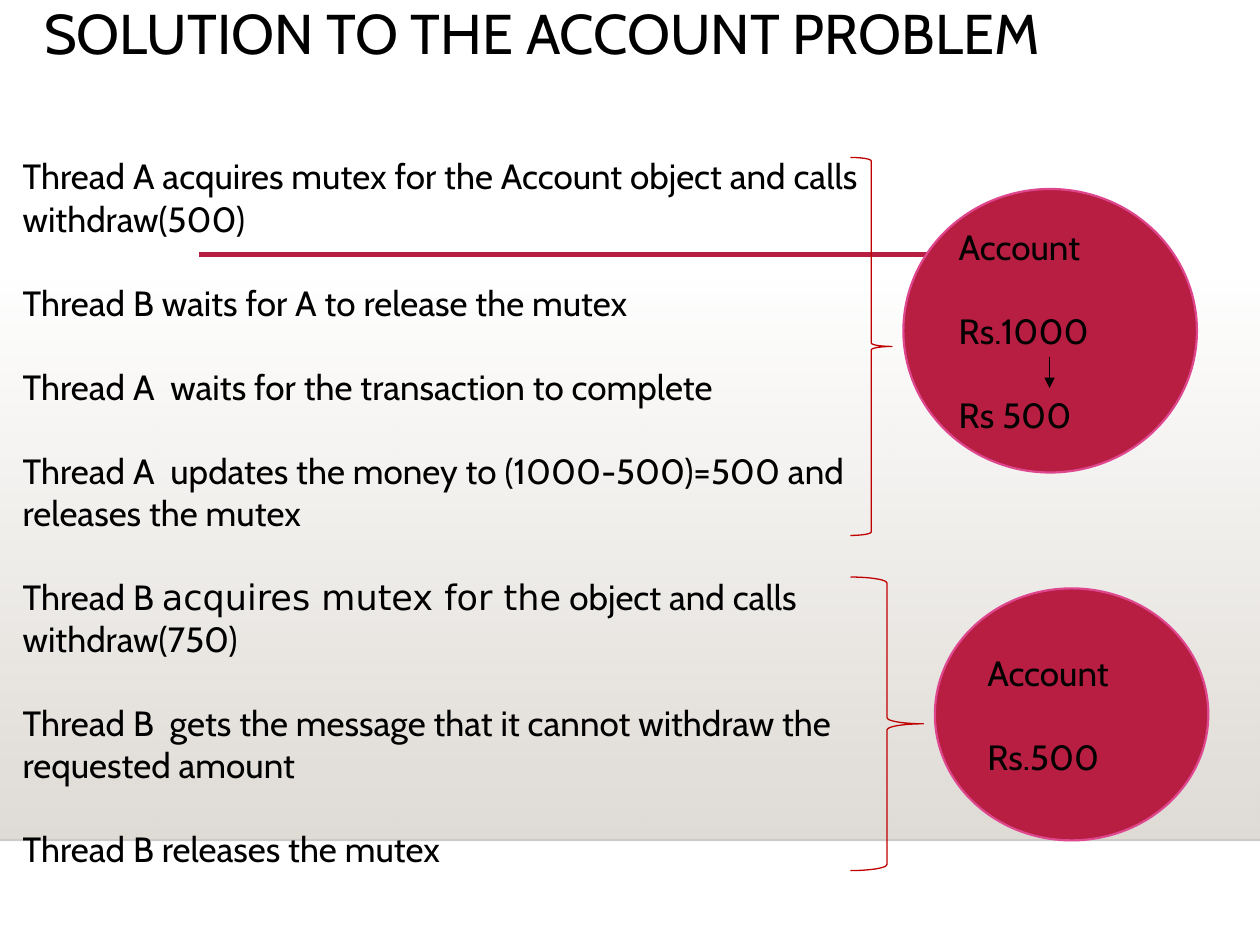
from lxml.etree import SubElement
from pptx import Presentation
from pptx.dml.color import RGBColor
from pptx.enum.dml import MSO_LINE
from pptx.enum.shapes import MSO_CONNECTOR, MSO_SHAPE
from pptx.enum.text import MSO_ANCHOR, MSO_AUTO_SIZE, PP_ALIGN
from pptx.oxml.ns import qn
from pptx.util import Inches, Pt

COLORS = {
    "text": "000000",
    "crimson": "B71E42",
    "pink": "DE478E",
    "brace": "C00000",
    "floor": "DFDBD5",
    "floor_edge": "000001",
}
FONT = "Cabin"
WIDE_FONT = "DejaVu Sans"
BODY_SIZE = 20
BLANK_LINE = Pt(24)

# Each step is a list of (text, font) runs
STEPS = [
    [("Thread A acquires mutex for the Account object and calls withdraw(500)", FONT)],
    [("Thread B waits for A to release the mutex", FONT)],
    [("Thread A  waits for the transaction to complete", FONT)],
    [("Thread A  updates the money to (1000-500)=500 and releases the mutex", FONT)],
    [("Thread B ", FONT), ("acquires mutex for the", WIDE_FONT),
     (" object and calls withdraw(750)", FONT)],
    [("Thread B  gets the message that it cannot withdraw the requested amount", FONT)],
    [("Thread B releases the mutex", FONT)],
]


def color(name):
    return RGBColor.from_string(COLORS[name])


def place(shape, left, top, width, height):
    shape.left, shape.top = Inches(left), Inches(top)
    shape.width, shape.height = Inches(width), Inches(height)


def set_alpha(solid_color, percent):
    SubElement(solid_color, qn("a:alpha"), val=str(percent * 1000))


def write_paragraphs(text_frame, paragraphs, size, gap=0):
    for index, runs in enumerate(paragraphs):
        paragraph = text_frame.paragraphs[0] if index == 0 else text_frame.add_paragraph()
        properties = paragraph._p.get_or_add_pPr()
        properties.set("marL", "0")
        properties.set("indent", "0")
        SubElement(properties, qn("a:buNone"))
        paragraph.alignment = PP_ALIGN.LEFT
        paragraph.space_before = gap if index else Pt(0)
        for text, font_name in runs:
            run = paragraph.add_run()
            run.text = text
            run.font.name = font_name
            run.font.size = Pt(size)
            run.font.color.rgb = color("text")


def fill_placeholder(placeholder, bounds, paragraphs, size, gap=0):
    place(placeholder, *bounds)
    text_frame = placeholder.text_frame
    text_frame.auto_size = MSO_AUTO_SIZE.NONE
    text_frame.word_wrap = True
    text_frame.vertical_anchor = MSO_ANCHOR.TOP
    write_paragraphs(text_frame, paragraphs, size, gap)


def add_line(slide, start, end, color_name, width):
    line = slide.shapes.add_connector(
        MSO_CONNECTOR.STRAIGHT, *(Inches(value) for value in start + end))
    line.line.color.rgb = color(color_name)
    line.line.width = Pt(width)
    SubElement(line._element.spPr, qn("a:effectLst"))
    return line


def add_arrow(slide, start, end):
    arrow = add_line(slide, start, end, "text", 0.75)
    SubElement(arrow.line._get_or_add_ln(), qn("a:tailEnd"), type="triangle")


def add_shape(slide, kind, bounds):
    shape = slide.shapes.add_shape(kind, *(Inches(value) for value in bounds))
    shape.shadow.inherit = False
    return shape


def add_account(slide, bounds, lines):
    account = add_shape(slide, MSO_SHAPE.OVAL, bounds)
    account.fill.solid()
    account.fill.fore_color.rgb = color("crimson")
    account.line.color.rgb = color("pink")
    account.line.width = Pt(1.25)
    text_frame = account.text_frame
    text_frame.word_wrap = False
    text_frame.vertical_anchor = MSO_ANCHOR.MIDDLE
    write_paragraphs(text_frame, [[(line, FONT)] for line in lines], BODY_SIZE, BLANK_LINE)


def add_brace(slide, bounds):
    brace = add_shape(slide, MSO_SHAPE.RIGHT_BRACE, bounds)
    brace.fill.background()
    brace.line.color.rgb = color("brace")
    brace.line.width = Pt(0.75)


def add_backdrop(slide):
    """Return the fading floor, its edge and the title rule, back to front."""
    floor = add_shape(slide, MSO_SHAPE.RECTANGLE, (0, 2.2, 10, 4.46))
    floor.line.fill.background()
    floor.fill.gradient()
    floor.fill.gradient_angle = 270
    for stop, position in zip(floor.fill.gradient_stops, (0, 1)):
        stop.color.rgb = color("floor")
        stop.position = position
    set_alpha(next(floor._element.spPr.iter(qn("a:srgbClr"))), 0)

    edge = add_line(slide, (0, 6.67), (10, 6.67), "floor_edge", 1)
    edge.line.dash_style = MSO_LINE.SOLID
    set_alpha(next(edge._element.spPr.iter(qn("a:srgbClr"))), 20)

    rule = add_line(slide, (1.58, 2.02), (8.77, 2.02), "crimson", 2.5)
    return floor, edge, rule


def main():
    presentation = Presentation()
    presentation.slide_width = Inches(10)
    presentation.slide_height = Inches(7.5)
    slide = presentation.slides.add_slide(presentation.slide_layouts[1])
    title, body = slide.placeholders

    # Backdrop, behind the text
    for shape in add_backdrop(slide):
        title.element.addprevious(shape.element)

    # Title and steps
    fill_placeholder(title, (0.25, 0, 9.75, 0.92),
                     [[("SOLUTION TO THE ACCOUNT PROBLEM", FONT)]], 32)
    title.text_frame.paragraphs[0].line_spacing = 0.9
    fill_placeholder(body, (0.08, 1.18, 7, 5.77), STEPS, BODY_SIZE, BLANK_LINE)

    # Account states
    add_account(slide, (7.17, 1.5, 2.33, 2.25), ["Account", "Rs.1000", "Rs 500"])
    add_arrow(slide, (8.33, 2.83), (8.33, 3.08))
    add_account(slide, (7.42, 4.67, 2.17, 2), ["Account", "Rs.500"])

    # Braces joining steps to states
    add_brace(slide, (6.75, 1.25, 0.33, 3))
    add_brace(slide, (6.75, 4.58, 0.58, 2.33))

    presentation.save("out.pptx")


if __name__ == "__main__":
    main()
